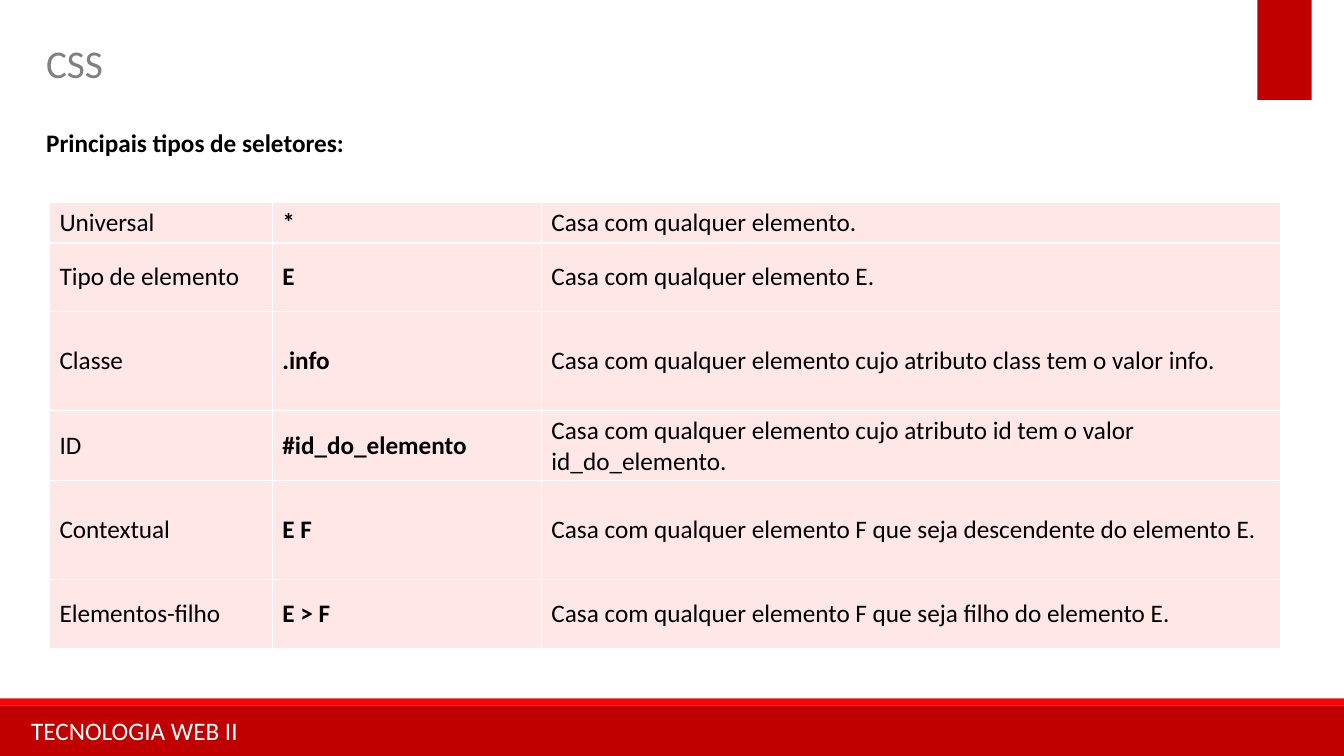
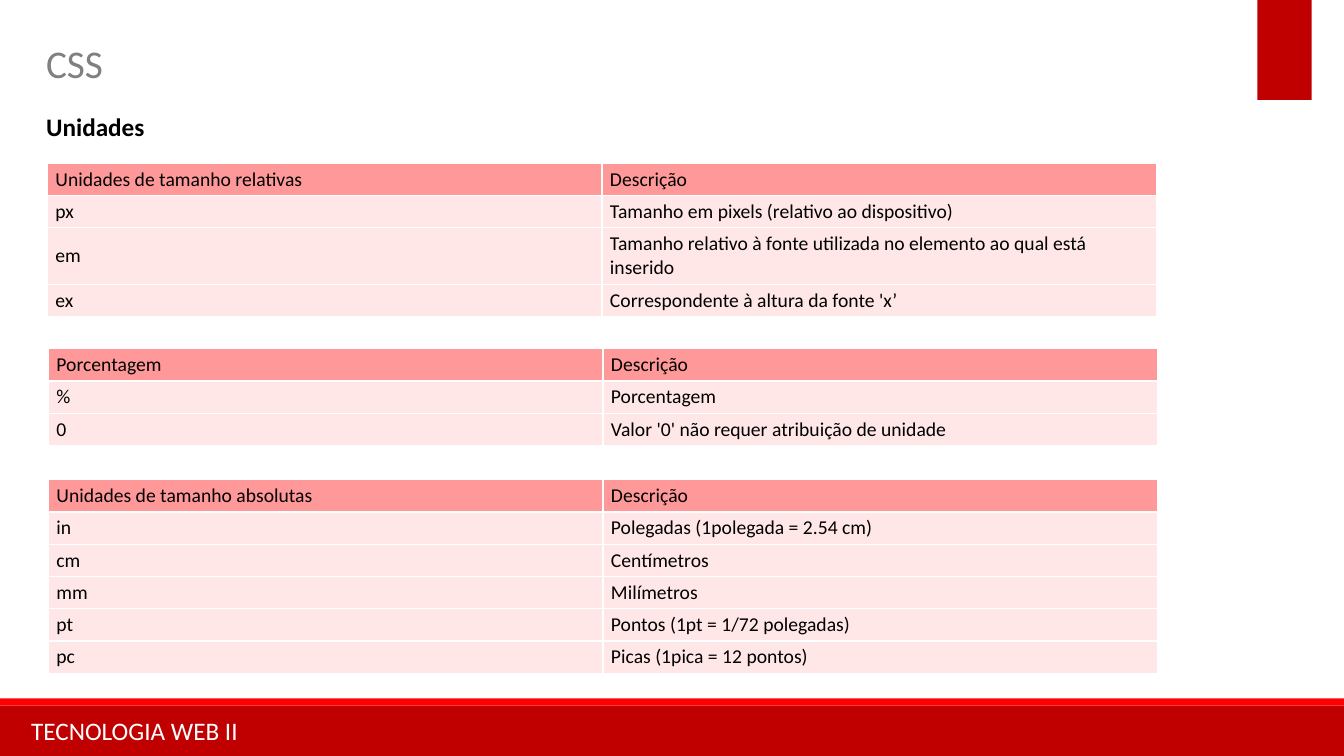
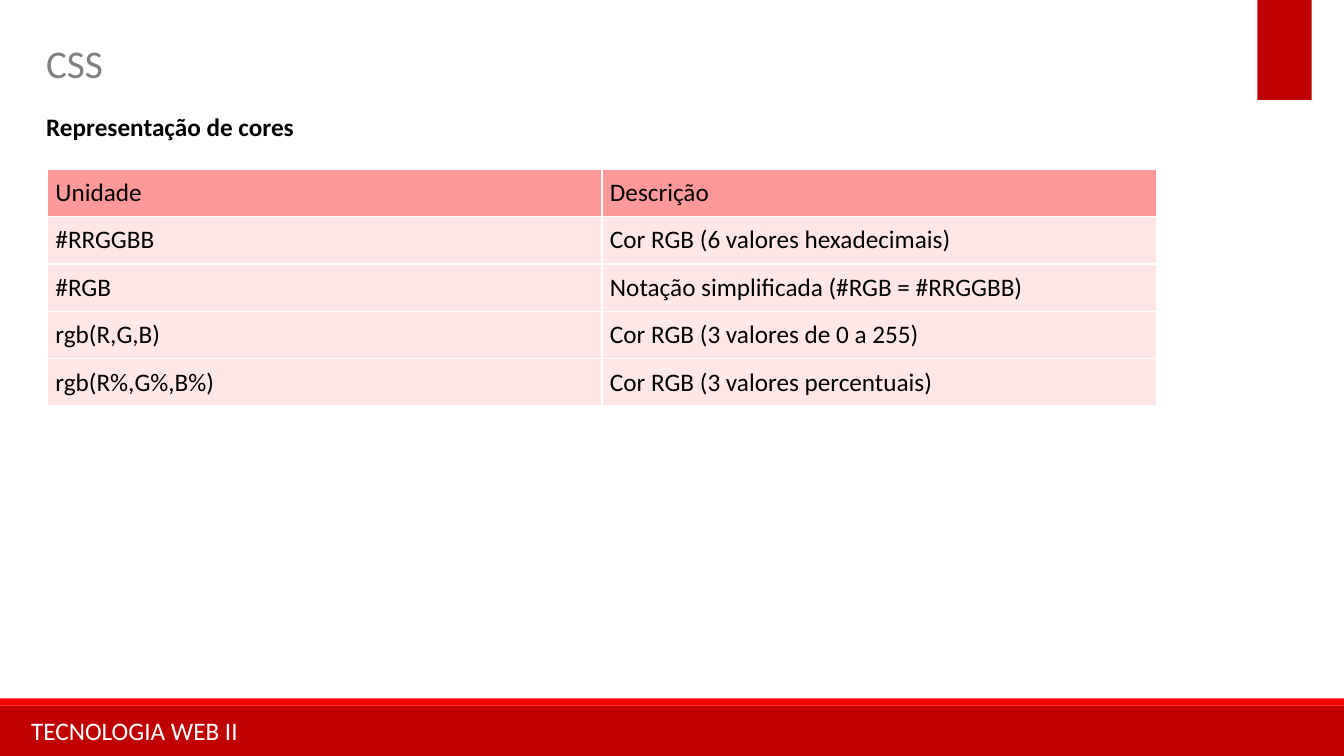
from dataclasses import dataclass

from lxml import etree
from pptx import Presentation
from pptx.dml.color import RGBColor
from pptx.enum.shapes import MSO_SHAPE
from pptx.enum.text import MSO_ANCHOR, MSO_AUTO_SIZE
from pptx.oxml.ns import qn
from pptx.slide import Slide, SlideLayout
from pptx.util import Pt

RECT = MSO_SHAPE.RECTANGLE
MIDDLE = MSO_ANCHOR.MIDDLE
GROW = MSO_AUTO_SIZE.SHAPE_TO_FIT_TEXT

PX = 9144  # EMU in one px, 100 px to the inch
WIDE, HIGH = 1333, 750

FONT = "Calibri"
DARK = RGBColor(0xC0, 0x00, 0x00)
RED = RGBColor(0xFF, 0x00, 0x00)
ROSE = RGBColor(0xFF, 0x99, 0x99)
PALE = RGBColor(0xFF, 0xE7, 0xE7)
GREY = RGBColor(0x80, 0x80, 0x80)
BLACK = RGBColor(0x00, 0x00, 0x00)
WHITE = RGBColor(0xFF, 0xFF, 0xFF)


@dataclass(frozen=True)
class Box:
    x: int
    y: int
    w: int
    h: int

    def emu(self) -> tuple[int, ...]:
        return tuple(n * PX for n in (self.x, self.y, self.w, self.h))


@dataclass(frozen=True)
class Band:
    box: Box
    fill: RGBColor


@dataclass(frozen=True)
class Label:
    text: str
    box: Box
    size: int
    color: RGBColor
    bold: bool = False
    wrap: bool = True
    space: float = 1.0


@dataclass(frozen=True)
class Grid:
    x: int
    y: int
    rows: tuple[tuple[str, ...], ...]
    highs: tuple[int, ...]
    cols: tuple[int, ...] = (550, 550)
    size: int = 18
    pad: tuple[int, int] = (8, 4)
    head: bool = True
    strong: int = -1  # index of the bold column


@dataclass(frozen=True)
class Page:
    topic: str
    y: int
    grids: tuple[Grid, ...]


# Parts common to all slides
BANDS = (
    Band(Box(0, 700, WIDE, 50), DARK),
    Band(Box(0, 693, WIDE, 7), RED),
    Band(Box(1247, 0, 54, 99), DARK),
)
FOOTER = Label("TECNOLOGIA WEB II", Box(21, 705, 711, 40), 18, WHITE)
TITLE = Label("CSS", Box(36, 34, 77, 57), 28, GREY, wrap=False)

# Content of each slide
PAGES = (
    Page("Principais tipos de seletores:", 106, (
        Grid(49, 201, (
            ("Universal", "*", "Casa com qualquer elemento."),
            ("Tipo de elemento", "E", "Casa com qualquer elemento E."),
            ("Classe", ".info",
             "Casa com qualquer elemento cujo atributo class tem o valor info."),
            ("ID", "#id_do_elemento",
             "Casa com qualquer elemento cujo atributo id tem o valor id_do_elemento."),
            ("Contextual", "E F",
             "Casa com qualquer elemento F que seja descendente do elemento E."),
            ("Elementos-filho", "E > F",
             "Casa com qualquer elemento F que seja filho do elemento E."),
        ), (39, 68, 98, 68, 98, 68), cols=(221, 267, 733),
            pad=(10, 5), head=False, strong=1),
    )),
    Page("Unidades", 91, (
        Grid(47, 162, (
            ("Unidades de tamanho relativas", "Descrição"),
            ("px", "Tamanho em pixels (relativo ao dispositivo)"),
            ("em", "Tamanho relativo à fonte utilizada no elemento ao qual está inserido"),
            ("ex", "Correspondente à altura da fonte 'x’"),
        ), (32, 32, 56, 32), size=14),
        Grid(48, 346, (
            ("Porcentagem", "Descrição"),
            ("%", "Porcentagem"),
            ("0", "Valor '0' não requer atribuição de unidade"),
        ), (32,) * 3, size=14),
        Grid(48, 476, (
            ("Unidades de tamanho absolutas", "Descrição"),
            ("in", "Polegadas (1polegada = 2.54 cm)"),
            ("cm", "Centímetros"),
            ("mm", "Milímetros"),
            ("pt", "Pontos (1pt = 1/72 polegadas)"),
            ("pc", "Picas (1pica = 12 pontos)"),
        ), (32,) * 6, size=14),
    )),
    Page("Representação de cores", 91, (
        Grid(47, 168, (
            ("Unidade", "Descrição"),
            ("#RRGGBB", "Cor RGB (6 valores hexadecimais)"),
            ("#RGB", "Notação simplificada (#RGB = #RRGGBB)"),
            ("rgb(R,G,B)", "Cor RGB (3 valores de 0 a 255)"),
            ("rgb(R%,G%,B%)", "Cor RGB (3 valores percentuais)"),
        ), (47,) * 5),
    )),
)


def style(frame, size: int, color: RGBColor, bold: bool) -> None:
    for para in frame.paragraphs:
        for run in para.runs:
            font = run.font
            font.name, font.size, font.bold = FONT, Pt(size), bold
            font.color.rgb = color


def add_band(slide: Slide, band: Band):
    shape = slide.shapes.add_shape(RECT, *band.box.emu())
    shape.shadow.inherit = False
    shape.fill.solid()
    shape.fill.fore_color.rgb = band.fill
    shape.line.fill.background()
    return shape


def add_label(slide: Slide, label: Label):
    shape = slide.shapes.add_textbox(*label.box.emu())
    frame = shape.text_frame
    frame.text = label.text
    frame.word_wrap = label.wrap
    frame.auto_size = GROW
    frame.paragraphs[0].line_spacing = label.space
    style(frame, label.size, label.color, label.bold)
    return shape


def add_edges(cell) -> None:
    """Give a cell white borders of one point."""
    props = cell._tc.get_or_add_tcPr()
    for side in ("lnL", "lnR", "lnT", "lnB"):
        line = etree.SubElement(props, qn(f"a:{side}"), w=str(Pt(1)))
        fill = etree.SubElement(line, qn("a:solidFill"))
        etree.SubElement(fill, qn("a:srgbClr"), val=str(WHITE))


def add_grid(slide: Slide, grid: Grid) -> None:
    box = Box(grid.x, grid.y, sum(grid.cols), sum(grid.highs))
    table = slide.shapes.add_table(
        len(grid.rows), len(grid.cols), *box.emu()).table
    table.first_row = table.horz_banding = False
    for col, wide in zip(table.columns, grid.cols):
        col.width = wide * PX
    for row, high in zip(table.rows, grid.highs):
        row.height = high * PX
    side, top = (n * PX for n in grid.pad)
    for r, texts in enumerate(grid.rows):
        for c, text in enumerate(texts):
            cell = table.cell(r, c)
            cell.text_frame.text = text
            cell.vertical_anchor = MIDDLE
            cell.margin_left = cell.margin_right = side
            cell.margin_top = cell.margin_bottom = top
            add_edges(cell)
            cell.fill.solid()
            cell.fill.fore_color.rgb = ROSE if grid.head and r == 0 else PALE
            style(cell.text_frame, grid.size, BLACK, c == grid.strong)


def set_layout(layout: SlideLayout, slide: Slide) -> None:
    """Draw the shared parts on a slide and move them to its layout."""
    tree = layout.shapes.element
    for holder in list(layout.placeholders):
        tree.remove(holder.element)
    parts = [add_band(slide, band) for band in BANDS]
    parts.append(add_label(slide, FOOTER))
    for part in parts:
        tree.append(part.element)


def main() -> None:
    deck = Presentation()
    deck.slide_width, deck.slide_height = WIDE * PX, HIGH * PX
    blank = deck.slide_layouts[6]
    slides = [deck.slides.add_slide(blank) for _ in PAGES]
    set_layout(blank, slides[0])
    for slide, page in zip(slides, PAGES):
        add_label(slide, TITLE)
        add_label(slide, Label(page.topic, Box(36, page.y, 1276, 51),
                               18, BLACK, bold=True, space=1.5))
        for grid in page.grids:
            add_grid(slide, grid)
    deck.save("out.pptx")


if __name__ == "__main__":
    main()
